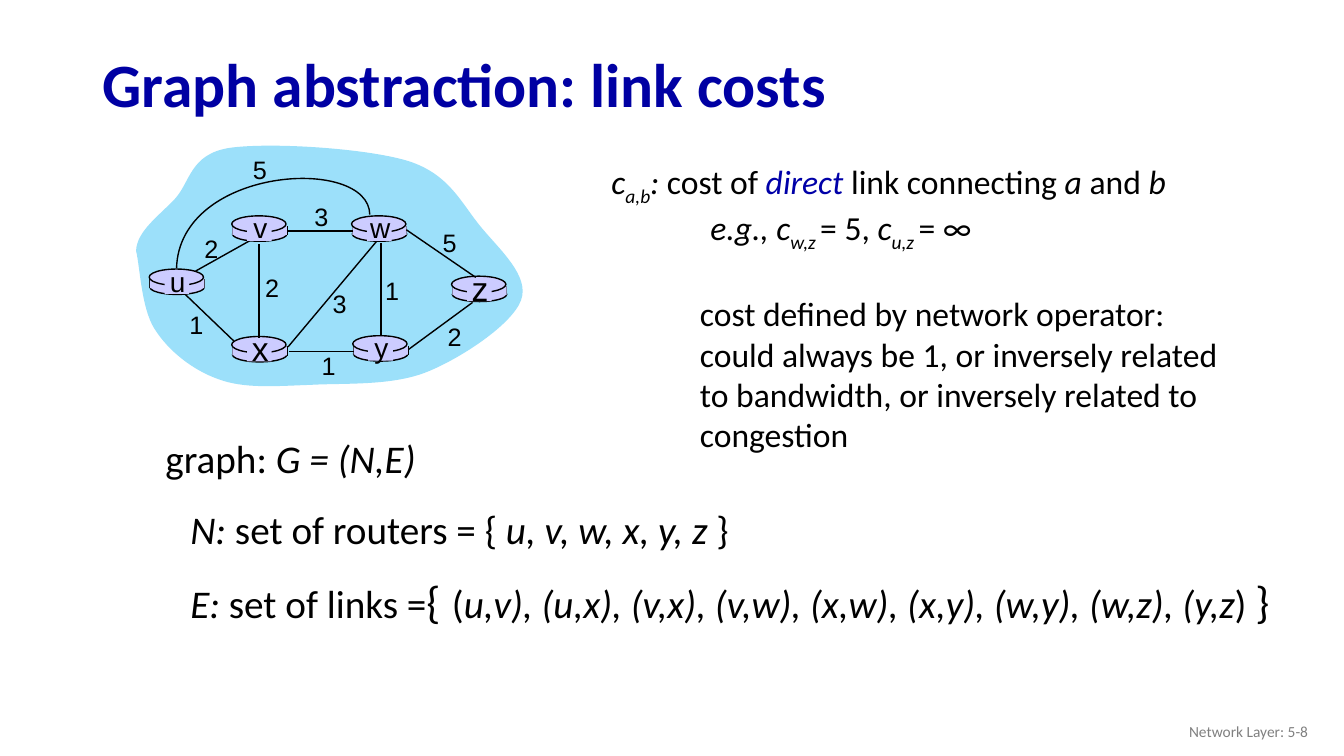
from dataclasses import dataclass
from typing import NamedTuple, Optional

from lxml import etree
from pptx import Presentation
from pptx import util as u
from pptx.dml import color
from pptx.enum import shapes, text
from pptx.oxml import ns


@dataclass(frozen=True)
class Theme:
    """Colours, fonts and type sizes of the slide."""
    title: str = "0000A3"
    accent: str = "0000A8"
    ink: str = "000000"
    grey: str = "808080"
    cloud: str = "9CE0FA"
    router: str = "CCCCFF"
    body_font: str = "Calibri"
    graph_font: str = "Arial"
    title_size: int = 44
    set_size: int = 28
    brace_size: int = 32
    gap_size: int = 36
    note_size: int = 24
    cost_size: int = 18
    footer_size: int = 11


class Run(NamedTuple):
    """A stretch of text with one look."""
    words: str
    size: int
    italic: bool = False
    sub: bool = False
    bold: bool = False
    ink: str = Theme.ink
    font: str = Theme.body_font


class Para(NamedTuple):
    """Runs with their indent (cm), space before (pt) and line spacing."""
    runs: list[Run]
    indent: float = 0
    before: float = 0
    spacing: float = 1.0


class Router(NamedTuple):
    """A node: its name, top left corner (cm) and letter size."""
    name: str
    x: float
    y: float
    size: int = 20


class Link(NamedTuple):
    """An edge: its ends, its cost and the centre of the cost label (cm)."""
    start: tuple[float, float]
    end: tuple[float, float]
    cost: str
    label: tuple[float, float]


THEME = Theme()
ROUTER_W = 1.37
ROUTERS = [
    Router("u", 3.76, 6.78), Router("x", 5.84, 8.48, 24), Router("v", 5.84, 5.44),
    Router("w", 8.86, 5.44), Router("y", 8.89, 8.46), Router("z", 11.38, 6.96, 24),
]
LINK_UV = Link((4.93, 6.83), (6.43, 5.99), "2", (5.33, 6.27))
OTHER_LINKS = [
    Link((9.6, 6.12), (9.6, 8.43), "1", (9.88, 7.32)),
    Link((6.53, 6.15), (6.53, 8.51), "2", (6.86, 7.24)),
    Link((7.26, 8.74), (9.5, 6.07), "3", (8.56, 7.65)),
    Link((10.29, 8.81), (11.91, 7.62), "2", (11.46, 8.48)),
    Link((8.92, 8.86), (7.29, 8.86), "1", (8.28, 9.22)),
    Link((5.89, 8.59), (4.67, 7.42), "1", (4.95, 8.18)),
    Link((8.89, 5.82), (7.26, 5.82), "3", (8.1, 5.46)),
    Link((11.99, 6.99), (10.24, 5.79), "5", (11.33, 6.12)),
]
LINK_UW = [(9.32, 5.41), (9.3, 3.91), (4.52, 4.19), (4.45, 6.76)]
COST_UW = ("5", (6.55, 4.27))
CLOUD = [
    (3.43, 6.32), (3.45, 5.82), (4.01, 5.44), (4.42, 5), (4.8, 4.57), (4.8, 3.89),
    (5.77, 3.73), (6.76, 3.58), (9.22, 3.73), (10.29, 4.06), (11.33, 4.39),
    (11.63, 5.13), (12.12, 5.72), (12.6, 6.3), (13.36, 6.96), (13.13, 7.57),
    (12.9, 8.18), (11.63, 9.02), (10.77, 9.37), (9.88, 9.73), (8.69, 9.65),
    (7.82, 9.7), (6.93, 9.73), (6.15, 9.8), (5.49, 9.55), (4.85, 9.32),
    (4.24, 8.84), (3.89, 8.28), (3.56, 7.75), (3.53, 6.73), (3.43, 6.32),
]

deck = Presentation()
deck.slide_width, deck.slide_height = u.Cm(33.87), u.Cm(19.05)
slide = deck.slides.add_slide(deck.slide_layouts[6])


def rgb(code: str) -> color.RGBColor:
    """Turn a hex code into a colour."""
    return color.RGBColor.from_string(code)


def paint(shape, fill: Optional[str], outlined: bool) -> None:
    """Set fill and outline, and drop the shadow."""
    shape.shadow.inherit = False
    if fill:
        shape.fill.solid()
        shape.fill.fore_color.rgb = rgb(fill)
    else:
        shape.fill.background()
    if outlined:
        shape.line.color.rgb, shape.line.width = rgb(THEME.ink), u.Pt(1)
    else:
        shape.line.fill.background()


def add_part(kind, x: float, y: float, w: float, h: float, outlined: bool) -> None:
    """Draw one piece of a router."""
    part = slide.shapes.add_shape(kind, u.Cm(x), u.Cm(y), u.Cm(w), u.Cm(h))
    paint(part, THEME.router, outlined)


def add_line(start: tuple[float, float], end: tuple[float, float]) -> None:
    """Draw a straight black line."""
    line = slide.shapes.add_connector(
        shapes.MSO_CONNECTOR.STRAIGHT, *(u.Cm(value) for value in (*start, *end)))
    line.line.color.rgb, line.line.width = rgb(THEME.ink), u.Pt(1)
    etree.SubElement(line._element.spPr, ns.qn("a:effectLst"))


def add_curve(points: list[tuple[float, float]], fill: Optional[str] = None) -> None:
    """Draw chained cubic curves; a filled one is closed, an open one outlined."""
    start, *rest = [(u.Cm(x), u.Cm(y)) for x, y in points]
    outline = slide.shapes.build_freeform(*start)
    outline.add_line_segments(rest, close=fill is not None)
    curve = outline.convert_to_shape()
    legs = list(curve._element.iter(ns.qn("a:lnTo")))
    for first in range(0, len(legs), 3):
        bend, *others = legs[first:first + 3]
        cubic = etree.Element(ns.qn("a:cubicBezTo"))
        bend.getparent().replace(bend, cubic)
        cubic.append(bend[0])
        for leg in others:
            cubic.append(leg[0])
            leg.getparent().remove(leg)
    paint(curve, fill, outlined=fill is None)


def add_text(paras: list[Para], x: float, y: float, w: float, h: float, wrap: bool = False,
             align=text.PP_ALIGN.LEFT, anchor=text.MSO_ANCHOR.TOP) -> None:
    """Write paragraphs into a text box."""
    frame = slide.shapes.add_textbox(u.Cm(x), u.Cm(y), u.Cm(w), u.Cm(h)).text_frame
    frame.word_wrap, frame.vertical_anchor = wrap, anchor
    for index, para in enumerate(paras):
        line = frame.add_paragraph() if index else frame.paragraphs[0]
        line.alignment, line.space_before = align, u.Pt(para.before)
        line.line_spacing = para.spacing
        line._p.get_or_add_pPr().set("marL", str(u.Cm(para.indent)))
        for run in para.runs:
            piece = line.add_run()
            piece.text = run.words
            piece.font.name, piece.font.size = run.font, u.Pt(run.size)
            piece.font.bold, piece.font.italic = run.bold, run.italic
            piece.font.color.rgb = rgb(run.ink)
            if run.sub:
                piece._r.get_or_add_rPr().set("baseline", "-25000")


def add_label(words: str, x: float, y: float, size: int) -> None:
    """Centre a graph label on a point."""
    add_text([Para([Run(words, size, font=THEME.graph_font)])], x - 0.5, y - 0.6, 1, 1.2,
             align=text.PP_ALIGN.CENTER, anchor=text.MSO_ANCHOR.MIDDLE)


def add_router(router: Router) -> None:
    """Draw a router as a flat cylinder."""
    x, y = router.x + 0.02, router.y
    add_part(shapes.MSO_SHAPE.OVAL, x, y + 0.28, ROUTER_W, 0.36, True)
    for side in (x, x + ROUTER_W):
        add_line((side, y + 0.25), (side, y + 0.48))
    add_part(shapes.MSO_SHAPE.RECTANGLE, x, y + 0.25, ROUTER_W, 0.23, False)
    add_part(shapes.MSO_SHAPE.OVAL, router.x, y, ROUTER_W, 0.41, True)


def styled(size: int, *parts: str) -> list[Run]:
    """Make runs that alternate between italic and upright."""
    return [Run(part, size, italic=i % 2 == 0) for i, part in enumerate(parts) if part]


def cost_symbol(ends: str) -> list[Run]:
    """Make an italic c with the link ends as subscript."""
    return [Run("c", THEME.note_size, True), Run(ends, THEME.note_size, True, sub=True)]


add_text([Para([Run("Graph abstraction: link costs", THEME.title_size, bold=True,
                    ink=THEME.title)], spacing=0.9)],
         2.34, 0.97, 19.05, 2.49, True, anchor=text.MSO_ANCHOR.MIDDLE)
add_text([Para([Run("Network Layer: 5-8", THEME.footer_size, ink=THEME.grey)])],
         25.6, 17.91, 7.62, 1.02, True, text.PP_ALIGN.RIGHT, text.MSO_ANCHOR.MIDDLE)

add_curve(CLOUD, THEME.cloud)
add_line(LINK_UV.start, LINK_UV.end)
for node in ROUTERS:
    add_router(node)
for link in OTHER_LINKS:
    add_line(link.start, link.end)
add_curve(LINK_UW)
for node in ROUTERS:
    add_part(shapes.MSO_SHAPE.RECTANGLE, node.x + 0.39, node.y + 0.05, 0.62, 0.58, False)
    add_label(node.name, node.x + 0.72, node.y + 0.3, node.size)
for cost, spot in [(link.cost, link.label) for link in (LINK_UV, *OTHER_LINKS)] + [COST_UW]:
    add_label(cost, *spot, THEME.cost_size)

NOTE, SET = THEME.note_size, THEME.set_size
add_text([
    Para(cost_symbol("a,b") + styled(NOTE, ": ", "cost of ")
         + [Run("direct", NOTE, True, ink=THEME.accent)]
         + styled(NOTE, "", " link connecting ", "a", " and ", "b")),
    Para(styled(NOTE, "e.g., ") + cost_symbol("w,z ") + styled(NOTE, "", "= 5, ")
         + cost_symbol("u,z ") + styled(NOTE, "", "= ∞"), indent=2.49),
    Para(styled(NOTE, "", "cost defined by network operator: could always be 1, or inversely "
                "related to bandwidth, or inversely related to congestion"),
         indent=2.23, before=28.8),
], 15.16, 3.94, 16.36, 7.44, wrap=True)
add_text([Para(styled(SET, "", "graph: ", "G = (N,E)"))], 3.92, 10.82, 6.88, 2.64)
add_text([Para(styled(SET, "N: ", "set of routers = { ", "u, v, w, x, y, z ", "}"))],
         4.55, 12.6, 14.2, 1.45)
add_text([Para(
    styled(SET, "E: ", "set of links =") + styled(THEME.brace_size, "", "{")
    + styled(THEME.gap_size, "", " ")
    + styled(SET, "", "(", "u,v), (u,x), (v,x), (v,w), (x,w), (x,y), (w,y), (w,z), (y,z", ") ")
    + styled(THEME.brace_size, "", "}"))], 4.55, 14.19, 27.99, 1.8)

deck.save("out.pptx")
